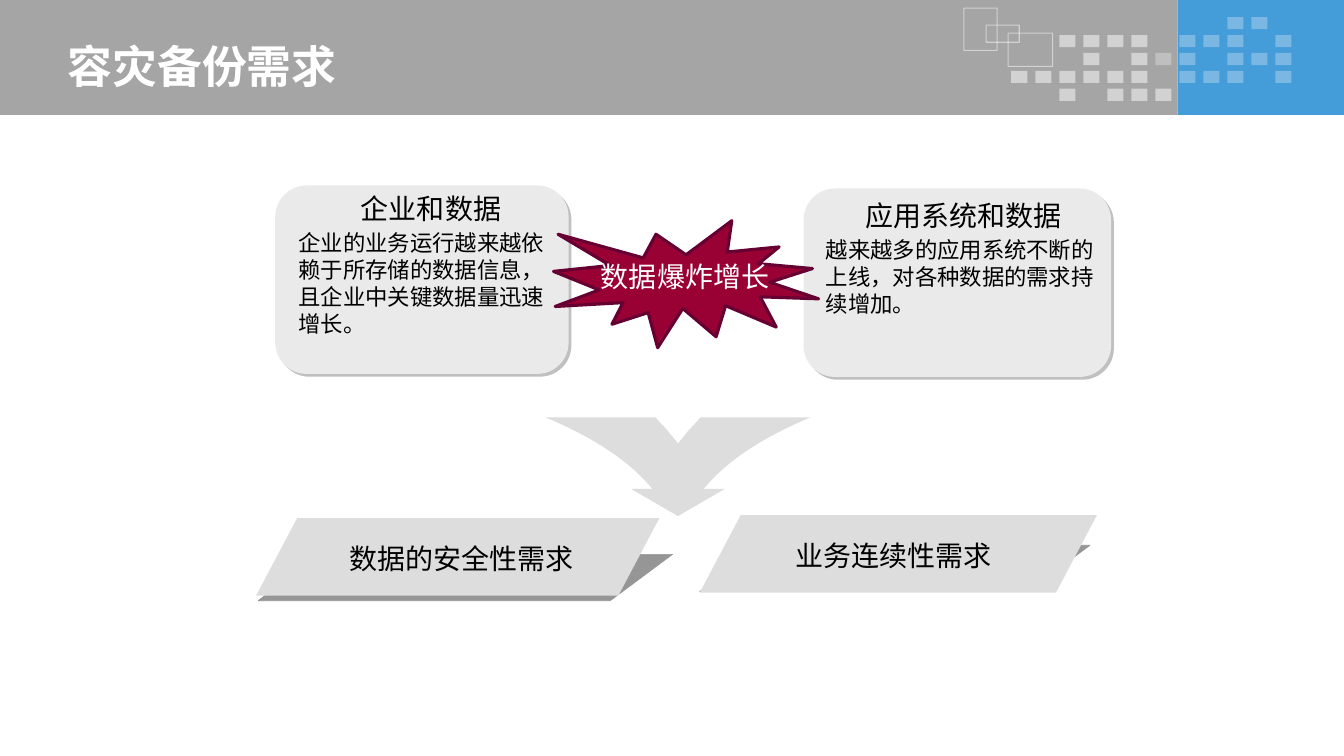
"""Build the slide on disaster recovery and backup needs."""
from lxml import etree
from pptx import Presentation
from pptx.dml.color import RGBColor
from pptx.enum import shapes, text
from pptx.oxml.ns import qn
from pptx.util import Inches, Pt

FONT = "Noto Sans CJK SC"
WHITE = RGBColor(0xFF, 0xFF, 0xFF)
BLACK = RGBColor(0x00, 0x00, 0x00)
BLUE = RGBColor(0x44, 0x9C, 0xD8)
BANNER_GREY = RGBColor(0xA5, 0xA5, 0xA5)
SHADE_GREY = RGBColor(0x96, 0x96, 0x96)
PLATE_GREY = RGBColor(0xDD, 0xDD, 0xDD)
CARD_GREY = RGBColor(0xEA, 0xEA, 0xEA)
CRIMSON = RGBColor(0x99, 0x00, 0x33)
PLUM = RGBColor(0x66, 0x00, 0x33)
KIND = shapes.MSO_SHAPE

MOSAIC_ROWS = (
    ".........XX.",
    "..XXXX.XXX.X",
    "...X.XXX.XXX",
    "XXXXXX.XXX.X",
    "..X.XXX.....",
)


def set_alpha(fill, percent):
    color = fill._xPr.find(qn("a:solidFill"))[0]
    etree.SubElement(color, qn("a:alpha"), val=str(percent * 1000))


def add_box(slide, kind, box, fill=None, line=None, width=0.75, adjust=None):
    shape = slide.shapes.add_shape(kind, *map(Inches, box))
    shape.shadow.inherit = False
    if adjust is not None:
        shape.adjustments[0] = adjust
    if fill is None:
        shape.fill.background()
    else:
        shape.fill.solid()
        shape.fill.fore_color.rgb = fill
    if line is None:
        shape.line.fill.background()
    else:
        shape.line.color.rgb = line
        shape.line.width = Pt(width)
    return shape


def style_paragraph(paragraph, size, color, align, bold=False):
    paragraph.alignment = align
    font = paragraph.font
    font.name, font.size, font.bold = FONT, Pt(size), bold
    font.color.rgb = color
    properties = paragraph._p.pPr.find(qn("a:defRPr"))
    etree.SubElement(properties, qn("a:ea"), typeface=FONT)


def add_label(slide, box, lines, color=BLACK, align=text.PP_ALIGN.CENTER):
    frame = slide.shapes.add_textbox(*map(Inches, box)).text_frame
    frame.word_wrap = True
    frame.margin_left = frame.margin_right = Inches(0.09)
    frame.margin_top, frame.margin_bottom = Inches(0.06), Inches(0.04)
    for index, line in enumerate(lines):
        paragraph = frame.add_paragraph() if index else frame.paragraphs[0]
        size = 16 if index else 20
        paragraph.text = line
        paragraph.line_spacing = Pt(size * 1.2)
        paragraph.space_before = Pt(3 if index else 0)
        style_paragraph(paragraph, size, color, text.PP_ALIGN.LEFT if index else align)


def add_banner(slide):
    add_box(slide, KIND.RECTANGLE, (11.68, 0, 1.65, 1.14), BLUE)
    add_box(slide, KIND.RECTANGLE, (0, 0, 11.68, 1.14), BANNER_GREY)
    for row, cells in enumerate(MOSAIC_ROWS):
        for column, cell in enumerate(cells):
            if cell == "X":
                place = (10.03 + column * 2.62 / 11, 0.17 + row * 0.71 / 4, 0.16, 0.12)
                tile = add_box(slide, KIND.RECTANGLE, place, WHITE)
                faint = column > 6 or (column, row) == (6, 2)
                set_alpha(tile.fill, 29 if faint else 50)
    for place in ((9.56, 0.08, 0.33, 0.42), (9.78, 0.25, 0.33, 0.17), (10, 0.33, 0.44, 0.33)):
        outline = add_box(slide, KIND.RECTANGLE, place, line=WHITE)
        set_alpha(outline.line.fill, 50)


def add_title(slide, wording):
    title = slide.shapes.title
    title.left, title.top, title.width, title.height = map(Inches, (0.57, 0.18, 11.25, 0.95))
    title.text_frame.text = wording
    title.text_frame.vertical_anchor = text.MSO_ANCHOR.MIDDLE
    style_paragraph(title.text_frame.paragraphs[0], 32, WHITE, text.PP_ALIGN.LEFT, True)
    slide.shapes._spTree.append(title._element)


def add_card(slide, box, label_box, lines):
    card = add_box(slide, KIND.ROUNDED_RECTANGLE, box, CARD_GREY, adjust=0.167)
    effects = card._element.spPr.find(qn("a:effectLst"))
    shadow = etree.SubElement(effects, qn("a:outerShdw"), dist=str(Pt(2.8)),
                              dir="2700000", algn="ctr", rotWithShape="0")
    etree.SubElement(shadow, qn("a:srgbClr"), val="C0C0C0")
    add_label(slide, label_box, lines)


def add_plate(slide, shade_box, plate_box, label_box, wording):
    add_box(slide, KIND.PARALLELOGRAM, shade_box, SHADE_GREY, SHADE_GREY, 0.5, 1.345)
    add_box(slide, KIND.PARALLELOGRAM, plate_box, PLATE_GREY, adjust=0.529)
    add_label(slide, label_box, [wording])


def curve(start, control, end, steps=16):
    points = []
    for step in range(steps + 1):
        t = step / steps
        points.append(tuple((1 - t) ** 2 * a + 2 * t * (1 - t) * b + t * t * c
                            for a, b, c in zip(start, control, end)))
    return points


def add_merging_arrow(slide):
    axis = 6.725
    left = [(axis, 4.4), (6.62, 4.27), (6.5, 4.14)]
    left += curve((5.41, 4.14), (6.14, 4.445), (6.47, 4.85))
    left += [(6.26, 4.85), (axis, 5.12)]
    right = [(2 * axis - x, y) for x, y in reversed(left[1:-1])]
    points = [(Inches(x), Inches(y)) for x, y in left + right]
    builder = slide.shapes.build_freeform(*points[0])
    builder.add_line_segments(points[1:], close=True)
    arrow = builder.convert_to_shape()
    arrow.shadow.inherit = False
    arrow.fill.solid()
    arrow.fill.fore_color.rgb = PLATE_GREY
    arrow.line.fill.background()


def main():
    presentation = Presentation()
    presentation.slide_width, presentation.slide_height = Inches(13.33), Inches(7.5)
    slide = presentation.slides.add_slide(presentation.slide_layouts[5])
    add_banner(slide)
    add_title(slide, "容灾备份需求")
    add_plate(slide, (2.56, 5.5, 4.11, 0.46), (2.54, 5.14, 4, 0.77),
              (2.88, 5.31, 3.39, 0.42), "数据的安全性需求")
    add_card(slide, (7.97, 1.87, 3.05, 1.87), (8.1, 1.91, 2.91, 1.29),
             ["应用系统和数据", "越来越多的应用系统不断的上线，对各种数据的需求持续增加。"])
    add_card(slide, (2.73, 1.84, 2.91, 1.87), (2.87, 1.84, 2.81, 1.56),
             ["企业和数据", "企业的业务运行越来越依赖于所存储的数据信息，且企业中关键数据量迅速增长。"])
    add_box(slide, KIND.EXPLOSION1, (5.49, 2.19, 2.63, 1.26), CRIMSON, PLUM, 2.25)
    add_label(slide, (5.87, 2.51, 2.49, 0.44), ["数据爆炸增长"], WHITE, text.PP_ALIGN.LEFT)
    add_merging_arrow(slide)
    add_plate(slide, (6.94, 5.41, 3.87, 0.46), (6.94, 5.11, 3.94, 0.77),
              (7.36, 5.28, 3.01, 0.42), "业务连续性需求")
    presentation.save("out.pptx")


if __name__ == "__main__":
    main()
